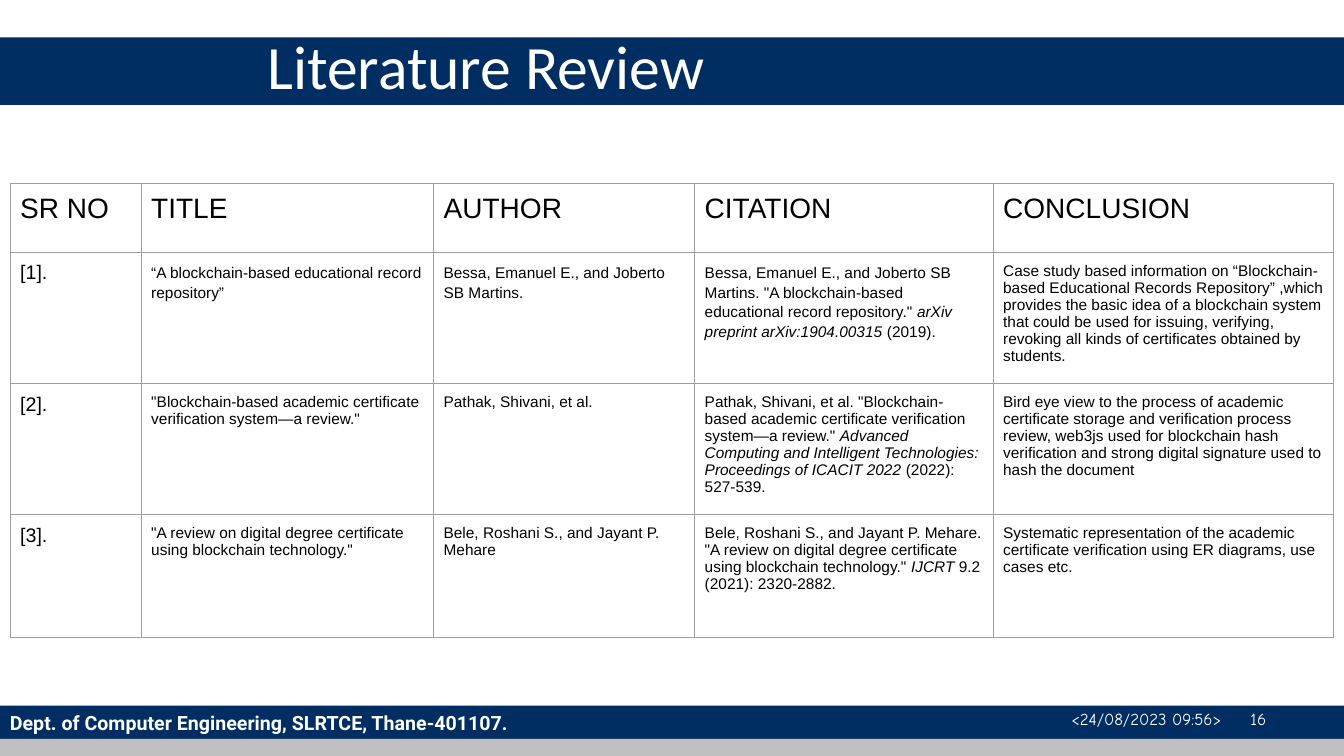
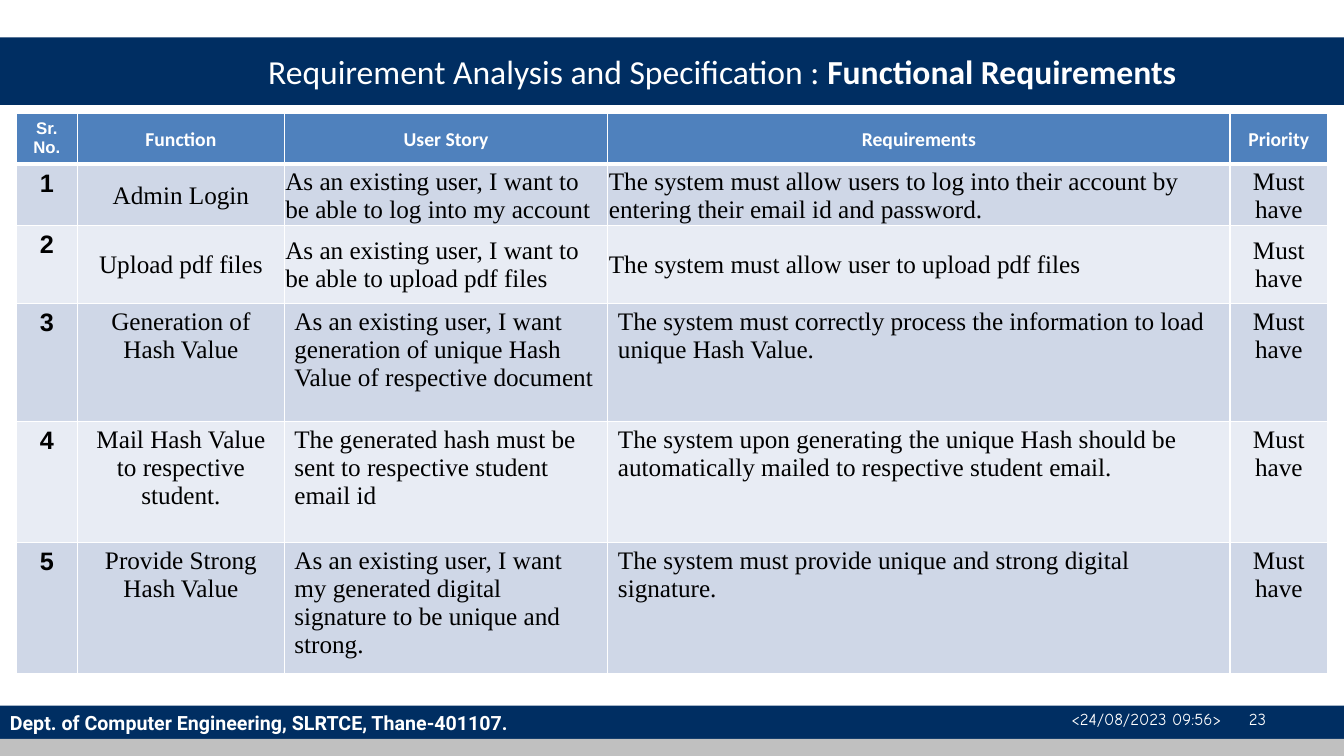
from dataclasses import dataclass, replace
from typing import Callable, Optional

from lxml import etree
from pptx import Presentation
from pptx.dml.color import RGBColor
from pptx.enum import shapes as sh, text as tx
from pptx.oxml import ns
from pptx.util import Inches, Pt

NAVY = RGBColor(0x00, 0x2E, 0x62)
SILVER = RGBColor(0xC0, 0xC0, 0xC0)
GREY = RGBColor(0x9E, 0x9E, 0x9E)
BLUE = RGBColor(0x4F, 0x81, 0xBD)
MIST = RGBColor(0xCF, 0xD7, 0xE7)
PALE = RGBColor(0xE8, 0xEC, 0xF4)
WHITE = RGBColor(0xFF, 0xFF, 0xFF)
BLACK = RGBColor(0x00, 0x00, 0x00)

LEFT, CENTER = tx.PP_ALIGN.LEFT, tx.PP_ALIGN.CENTER
TOP, MIDDLE = tx.MSO_ANCHOR.TOP, tx.MSO_ANCHOR.MIDDLE
WIDTH = 13.33


@dataclass(frozen=True)
class Look:
    font: str
    size: float
    color: RGBColor = BLACK
    bold: bool = False
    align: tx.PP_ALIGN = LEFT
    lines: float = 1.0


@dataclass(frozen=True)
class Cell:
    look: Look
    pad: tuple = (0.1, 0.05, 0.1, 0.05)  # left, top, right, bottom
    anchor: tx.MSO_ANCHOR = TOP
    fill: Optional[RGBColor] = None
    edge: RGBColor = WHITE
    width: float = 1
    base: float = 1  # bottom edge


@dataclass(frozen=True)
class Band:
    top: float
    height: float
    fill: RGBColor
    label: str = ""


@dataclass(frozen=True)
class Grid:
    left: float
    top: float
    cols: tuple
    rows: tuple
    cells: tuple
    style: Callable[[int, int], Cell]


@dataclass(frozen=True)
class Page:
    title: str
    size: float
    left: float
    top: float
    number: int
    grid: Grid


BANDS = (
    Band(7, 0.33, NAVY, "Dept. of Computer Engineering, SLRTCE, Thane-401107."),
    Band(0.37, 0.67, NAVY),
    Band(7.33, 0.17, SILVER),
)
DATE = "<24/08/2023 09:56>"
BRAND = Look("Roboto", 14, WHITE, bold=True)
STAMP = Look("Comic Neue", 12, WHITE)


def write(frame, words: str, look: Look, mark: str = "bold") -> None:
    """Write one paragraph; parts between asterisks get the mark."""
    para = frame.paragraphs[0]
    para.alignment, para.line_spacing = look.align, look.lines
    for i, part in enumerate(words.split("*")):
        if not part:
            continue
        run = para.add_run()
        run.text = part
        font = run.font
        font.name, font.size, font.bold = look.font, Pt(look.size), look.bold
        font.color.rgb = look.color
        if i % 2:
            setattr(font, mark, True)


def add_bands(slide, layout) -> None:
    """Draw the bands and hand them over to the layout."""
    for i, band in enumerate(BANDS):
        rect = slide.shapes.add_shape(
            sh.MSO_SHAPE.RECTANGLE, 0, Inches(band.top),
            Inches(WIDTH), Inches(band.height))
        rect.shadow.inherit = False
        rect.fill.solid()
        rect.fill.fore_color.rgb = band.fill
        rect.line.fill.background()
        rect.text_frame.vertical_anchor = MIDDLE
        write(rect.text_frame, band.label, BRAND)
        rect.element.nvSpPr.cNvPr.set("id", str(20 + i))
        layout.shapes.element.append(rect.element)


def add_title(slide, page: Page) -> None:
    box = slide.shapes.title
    box.left, box.top = Inches(page.left), Inches(page.top)
    box.width, box.height = Inches(10.56), Inches(1.25)
    frame = box.text_frame
    frame.word_wrap, frame.auto_size = True, tx.MSO_AUTO_SIZE.NONE
    frame.vertical_anchor = MIDDLE
    write(frame, page.title, Look("Calibri", page.size, WHITE))


def add_stamp(slide, number: int) -> None:
    """Date and page number, each set against a right tab."""
    box = slide.shapes.add_textbox(
        Inches(9.56), Inches(6.93), Inches(3.11), Inches(0.4))
    frame = box.text_frame
    frame.word_wrap, frame.vertical_anchor = True, MIDDLE
    props = frame.paragraphs[0]._p.get_or_add_pPr()
    tabs = etree.SubElement(props, ns.qn("a:tabLst"))
    for stop in (2.46, 2.9):
        etree.SubElement(tabs, ns.qn("a:tab"), pos=str(Inches(stop)), algn="r")
    write(frame, f"\t{DATE}\t{number}", STAMP)


def set_edges(cell, kind: Cell) -> None:
    props = cell._tc.get_or_add_tcPr()
    for side in "LRTB":
        width = kind.base if side == "B" else kind.width
        line = etree.SubElement(props, ns.qn(f"a:ln{side}"), w=str(Pt(width)))
        fill = etree.SubElement(line, ns.qn("a:solidFill"))
        etree.SubElement(fill, ns.qn("a:srgbClr"), val=str(kind.edge))


def fill_cell(cell, words: str, kind: Cell) -> None:
    set_edges(cell, kind)
    if kind.fill is None:
        cell.fill.background()
    else:
        cell.fill.solid()
        cell.fill.fore_color.rgb = kind.fill
    (cell.margin_left, cell.margin_top,
     cell.margin_right, cell.margin_bottom) = map(Inches, kind.pad)
    cell.vertical_anchor = kind.anchor
    write(cell.text_frame, words, kind.look, "italic")


def add_grid(slide, grid: Grid) -> None:
    table = slide.shapes.add_table(
        len(grid.rows), len(grid.cols), Inches(grid.left), Inches(grid.top),
        Inches(sum(grid.cols)), Inches(sum(grid.rows))).table
    table.first_row = table.horz_banding = False
    for col, width in zip(table.columns, grid.cols):
        col.width = Inches(width)
    for row, height in zip(table.rows, grid.rows):
        row.height = Inches(height)
    for r, line in enumerate(grid.cells):
        for c, words in enumerate(line):
            fill_cell(table.cell(r, c), words, grid.style(r, c))


def paper_style(row: int, col: int) -> Cell:
    """Plain grid: large heads, mid-size numbers, small body."""
    size = 20 if row == 0 else 14 if col == 0 else 11
    lines = 1.15 if row == 1 and 0 < col < 4 else 1.0
    return Cell(Look("Arial", size, lines=lines), pad=(0.1,) * 4,
                edge=GREY, width=0.75, base=0.75)


def need_style(row: int, col: int) -> Cell:
    """Blue head over striped rows; the upper rows are set tight."""
    if col == 0:
        look = Look("Arial", 18, bold=True, align=CENTER)
    else:
        align = LEFT if col in (2, 3) else CENTER
        look = Look("Times New Roman", 18, align=align)
    kind = Cell(look, fill=MIST if row % 2 else PALE)
    if row == 0:
        name, size = ("Arial", 12) if col == 0 else ("Calibri", 14)
        head = Look(name, size, WHITE, bold=True, align=CENTER)
        kind = replace(kind, look=head, fill=BLUE, base=3)
    if row < 3 and col > 0:
        kind = replace(kind, pad=(0.01, 0.01, 0.01, 0), anchor=MIDDLE)
    return kind


PAPERS = (
    ("SR NO", "TITLE", "AUTHOR", "CITATION", "CONCLUSION"),
    ("[1].", "“A blockchain-based educational record repository”",
     "Bessa, Emanuel E., and Joberto SB Martins.",
     'Bessa, Emanuel E., and Joberto SB Martins. "A blockchain-based '
     'educational record repository." *arXiv preprint arXiv:1904.00315* (2019).',
     "Case study based information on “Blockchain-based Educational Records "
     "Repository” ,which provides the basic idea of a blockchain system that "
     "could be used for issuing, verifying, revoking all kinds of "
     "certificates obtained by students."),
    ("[2].",
     '"Blockchain-based academic certificate verification system—a review."',
     "Pathak, Shivani, et al.",
     'Pathak, Shivani, et al. "Blockchain-based academic certificate '
     'verification system—a review." *Advanced Computing and Intelligent '
     "Technologies: Proceedings of ICACIT 2022* (2022): 527-539.",
     "Bird eye view to the process of academic certificate storage and "
     "verification process review, web3js used for blockchain hash "
     "verification and strong digital signature used to hash the document"),
    ("[3].",
     '"A review on digital degree certificate using blockchain technology."',
     "Bele, Roshani S., and Jayant P. Mehare",
     'Bele, Roshani S., and Jayant P. Mehare. "A review on digital degree '
     'certificate using blockchain technology." *IJCRT* 9.2 (2021): 2320-2882.',
     "Systematic representation of the academic certificate verification "
     "using ER diagrams, use cases etc."),
)

MUST = "Must have"
NEEDS = (
    ("Sr. No.", "Function", "User Story", "Requirements", "Priority"),
    ("1", "Admin Login",
     "As an existing user, I want to be able to log into my account",
     "The system must allow users to log into their account by entering "
     "their email id and password.", MUST),
    ("2", "Upload pdf files",
     "As an existing user, I want to be able to upload pdf files",
     "The system must allow user to upload pdf files", MUST),
    ("3", "Generation of Hash Value",
     "As an existing user, I want generation of unique Hash Value of "
     "respective document",
     "The system must correctly process the information to load unique "
     "Hash Value.", MUST),
    ("4", "Mail Hash Value to respective student.",
     "The generated hash must be sent to respective student email id",
     "The system upon generating the unique Hash should be automatically "
     "mailed to respective student email.", MUST),
    ("5", "Provide Strong Hash Value",
     "As an existing user, I want my generated digital signature to be "
     "unique and strong.",
     "The system must provide unique and strong digital signature.", MUST),
)

PAGES = (
    Page("Literature Review", 44, 2.55, 0.02, 16,
         Grid(0.1, 1.82, (1.3, 2.9, 2.59, 2.96, 3.38),
              (0.68, 1.29, 1.23, 1.22), PAPERS, paper_style)),
    Page("Requirement Analysis and Specification : *Functional Requirements*",
         24, 2.56, 0.08, 23,
         Grid(0.16, 1.13, (0.61, 2.05, 3.21, 6.17, 0.97),
              (0.48, 0.59, 0.77, 1.17, 1.2, 1.2), NEEDS, need_style)),
)


def main() -> None:
    deck = Presentation()
    deck.slide_width, deck.slide_height = Inches(WIDTH), Inches(7.5)
    layout = deck.slide_layouts[5]  # title only
    for i, page in enumerate(PAGES):
        slide = deck.slides.add_slide(layout)
        if i == 0:
            add_bands(slide, layout)
        add_title(slide, page)
        add_stamp(slide, page.number)
        add_grid(slide, page.grid)
    deck.save("out.pptx")


if __name__ == "__main__":
    main()
